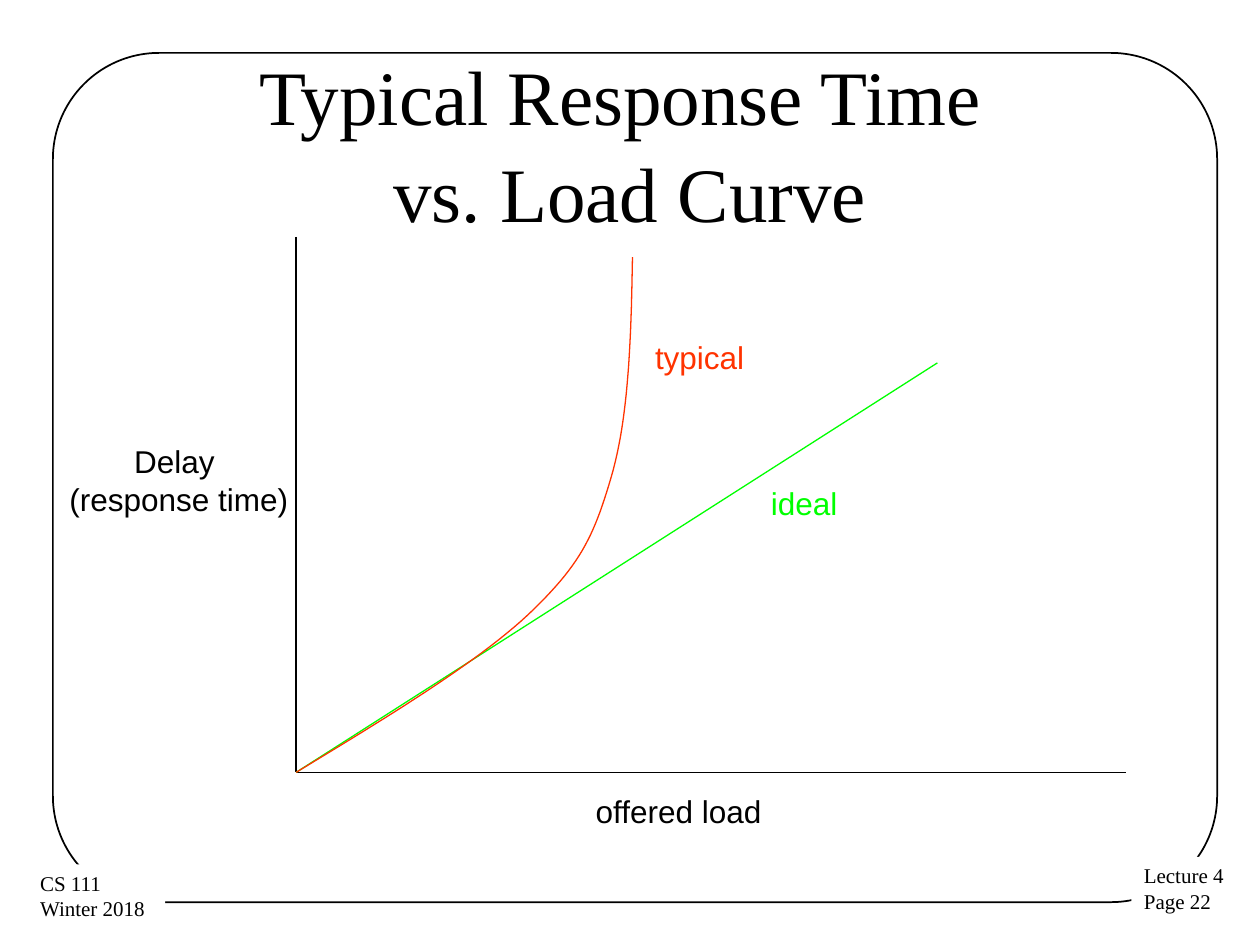
from dataclasses import dataclass

from lxml import etree
from pptx import Presentation
from pptx.dml.color import RGBColor
from pptx.enum.shapes import MSO_CONNECTOR, MSO_SHAPE
from pptx.enum.text import MSO_ANCHOR, MSO_AUTO_SIZE, PP_ALIGN
from pptx.oxml.ns import qn
from pptx.util import Emu, Pt

STRAIGHT = MSO_CONNECTOR.STRAIGHT
ROUNDED = MSO_SHAPE.ROUNDED_RECTANGLE
LEFT, CENTER = PP_ALIGN.LEFT, PP_ALIGN.CENTER
MIDDLE = MSO_ANCHOR.MIDDLE
FIT = MSO_AUTO_SIZE.SHAPE_TO_FIT_TEXT
SERIF, SANS = "Times New Roman", "Arial"
BLACK, WHITE, GREEN, RED = "000000", "FFFFFF", "00FF00", "FF3300"
PX = 9144
STEPS = 24

Point = tuple[float, float]


@dataclass
class Label:
    """A text box with one paragraph per line."""
    box: tuple[int, int, int, int]
    lines: list[str]
    size: int = 18
    font: str = SANS
    color: str = BLACK
    align: PP_ALIGN = LEFT
    fill: str | None = None


@dataclass
class Line:
    """A straight line between two points."""
    start: tuple[int, int]
    end: tuple[int, int]
    color: str = BLACK


ORIGIN = (235, 613)
FOOTERS = [
    Label((898, 680, 85, 51), ["Lecture 4", "Page 22"], 12, SERIF, fill=WHITE),
    Label((22, 686, 109, 51), ["CS 111", "Winter 2018"], 12, SERIF, fill=WHITE),
]
TITLE = Label((50, 46, 900, 125), ["Typical Response Time \vvs. Load Curve"],
              44, SERIF, align=CENTER)
LINES = [
    Line((235, 188), ORIGIN),
    Line(ORIGIN, (894, 613)),
    Line(ORIGIN, (744, 288), GREEN),
]
LABELS = [
    Label((44, 346, 196, 71), ["Delay ", "(response time)"], align=CENTER),
    Label((602, 379, 79, 43), ["ideal"], color=GREEN),
    Label((510, 263, 99, 43), ["typical"], color=RED),
    Label((463, 624, 167, 43), ["offered load"]),
]
TYPICAL = [
    ((306, 570), (377, 527), (419, 488)),
    ((460, 449), (471, 427), (485, 379)),
    ((499, 332), (501, 268), (502, 204)),
]


def px(n: float) -> Emu:
    """Turn px into EMU."""
    return Emu(round(n * PX))


def rgb(color: str) -> RGBColor:
    """Turn a hex string into a colour."""
    return RGBColor.from_string(color)


def add_frame(s) -> None:
    """Draw the rounded border of the slide."""
    sp = s.shapes.add_shape(ROUNDED, px(42), px(42), px(924), px(674))
    sp.adjustments[0] = 0.125
    sp.shadow.inherit = False
    sp.fill.background()
    sp.line.color.rgb = rgb(BLACK)
    sp.line.width = Pt(1)


def add_label(s, label: Label):
    """Add a text box and return its text frame."""
    sp = s.shapes.add_textbox(*map(px, label.box))
    if label.fill:
        sp.fill.solid()
        sp.fill.fore_color.rgb = rgb(label.fill)
    tf = sp.text_frame
    tf.word_wrap = False
    tf.auto_size = FIT
    tf.text = "\n".join(label.lines)
    for p in tf.paragraphs:
        p.alignment = label.align
        p.font.size = Pt(label.size)
        p.font.name = label.font
        p.font.color.rgb = rgb(label.color)
    return tf


def add_title(s) -> None:
    """Add the two-line title, centred in its box."""
    tf = add_label(s, TITLE)
    tf.auto_size = MSO_AUTO_SIZE.NONE
    tf.word_wrap = True
    tf.vertical_anchor = MIDDLE
    tf.margin_top = px(11)
    tf.paragraphs[0].line_spacing = 1.05


def add_line(s, line: Line) -> None:
    """Draw a thin straight line without shadow."""
    c = s.shapes.add_connector(STRAIGHT, *map(px, line.start + line.end))
    c.line.color.rgb = rgb(line.color)
    c.line.width = Pt(0.75)
    etree.SubElement(c._element.spPr, qn("a:effectLst"))


def bezier(a: Point, b: Point, c: Point, d: Point, t: float) -> Point:
    """Return the point at t on a cubic curve."""
    u = 1 - t
    weights = (u**3, 3 * u * u * t, 3 * u * t * t, t**3)
    x, y = (sum(w * v for w, v in zip(weights, axis)) for axis in zip(a, b, c, d))
    return x, y


def add_curve(s, start: Point, segments: list, color: str) -> None:
    """Draw an open smooth curve through cubic segments."""
    points, a = [], start
    for b, c, d in segments:
        points += [bezier(a, b, c, d, i / STEPS) for i in range(1, STEPS + 1)]
        a = d
    fb = s.shapes.build_freeform(px(start[0]), px(start[1]))
    fb.add_line_segments([(px(x), px(y)) for x, y in points], close=False)
    sp = fb.convert_to_shape()
    sp.shadow.inherit = False
    sp.fill.background()
    sp.line.color.rgb = rgb(color)
    sp.line.width = Pt(0.75)


def main() -> None:
    """Build the slide and save it."""
    prs = Presentation()
    prs.slide_width, prs.slide_height = px(1000), px(750)
    s = prs.slides.add_slide(prs.slide_layouts[6])
    add_frame(s)
    for footer in FOOTERS:
        add_label(s, footer)
    add_title(s)
    for line in LINES:
        add_line(s, line)
    add_curve(s, ORIGIN, TYPICAL, RED)
    for label in LABELS:
        add_label(s, label)
    prs.save("out.pptx")


if __name__ == "__main__":
    main()
